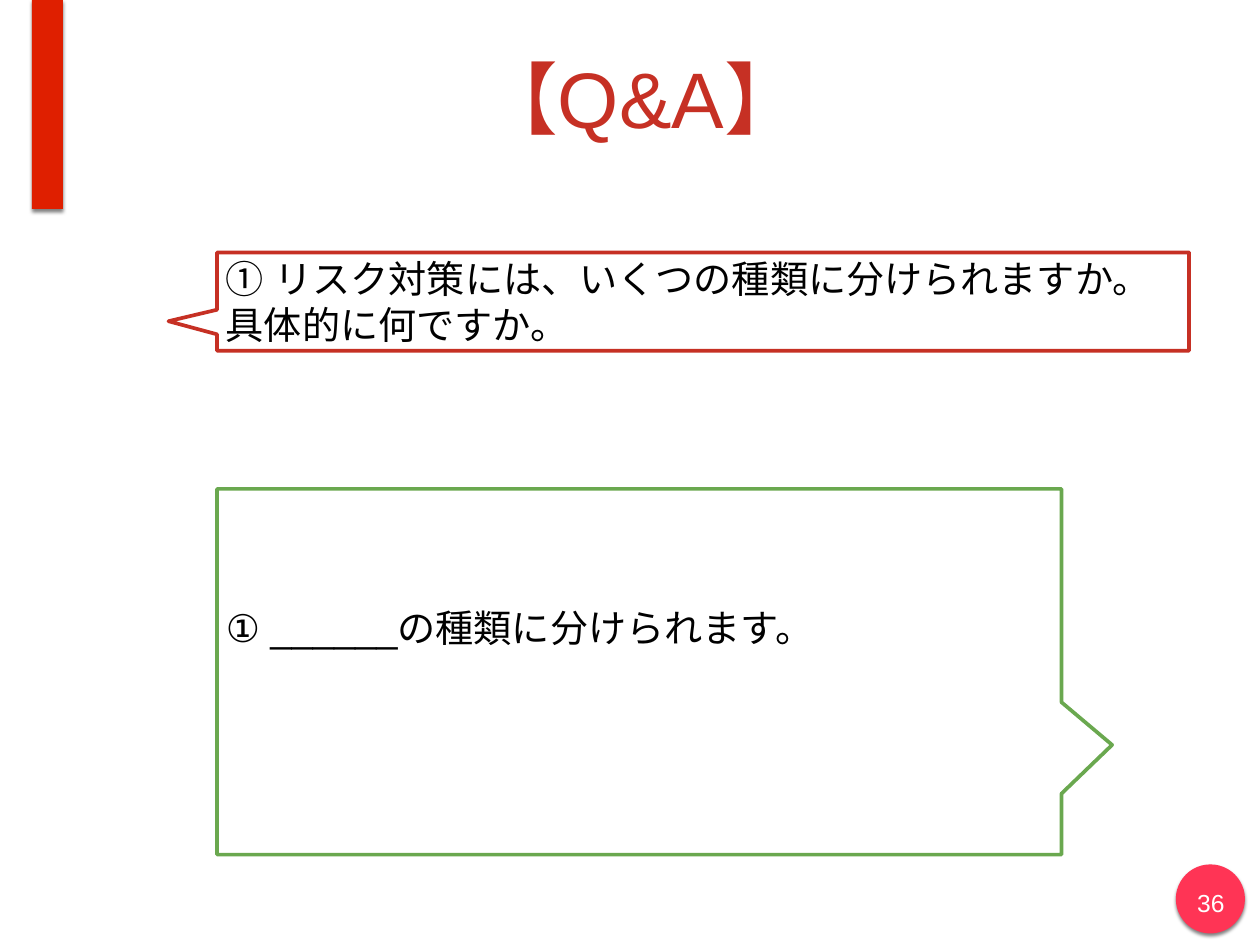
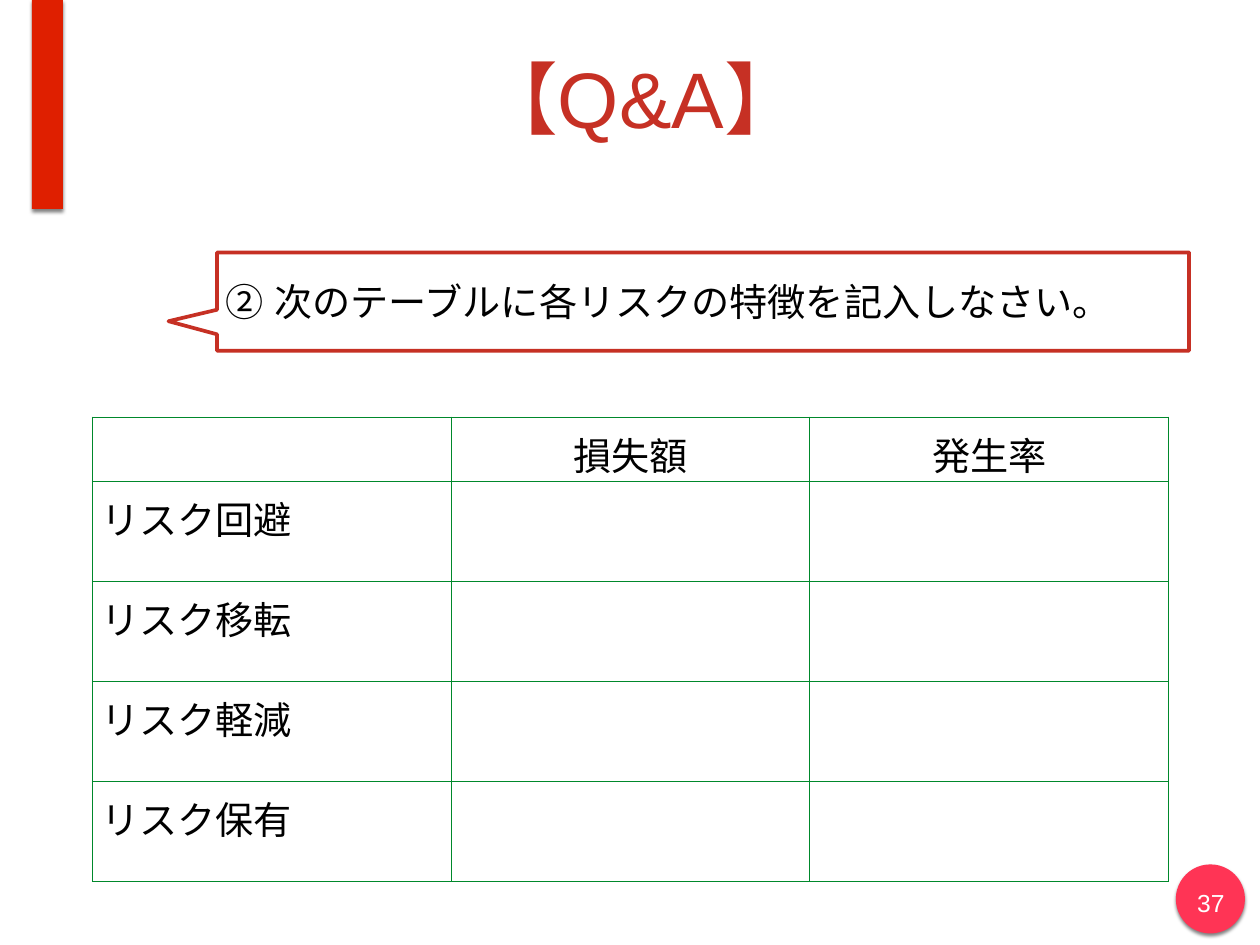
"""Build two Q&A slides on risk measures."""
from dataclasses import dataclass

from lxml.etree import SubElement as Sub
from pptx import Presentation
from pptx.dml.color import RGBColor as Rgb
from pptx.enum.shapes import MSO_SHAPE as Shape
from pptx.enum.text import MSO_ANCHOR as Anchor, MSO_AUTO_SIZE as Fit, PP_ALIGN as Align
from pptx.oxml.ns import qn
from pptx.util import Pt

UNIT = 9144


@dataclass(frozen=True)
class Theme:
    """Hold colours, type sizes and the font."""
    font: str = "Arial"
    red: str = "C63024"
    green: str = "6AA84F"
    grid: str = "00882B"
    band: str = "DF1F00"
    disc: str = "FF3455"
    ink: str = "000000"
    white: str = "FFFFFF"
    head: int = 64
    body: int = 31
    page: int = 20


LOOK = Theme()


def px(*nums):
    """Turn px into EMU."""
    return [num * UNIT for num in nums]


def place(shape, *box):
    """Move and size a shape."""
    shape.left, shape.top, shape.width, shape.height = px(*box)


def write(frame, text, size, color, align=Align.LEFT):
    """Set text, then format its runs."""
    frame.text = text
    for para in frame.paragraphs:
        para.alignment = align
        for run in para.runs:
            font = run.font
            font.name, font.size = LOOK.font, Pt(size)
            font.color.rgb = Rgb.from_string(color)
            east = Sub(run._r.get_or_add_rPr(), qn("a:ea"))
            east.set("typeface", LOOK.font)


def inset(frame, side, top, base):
    """Set the margins at the sides, top and base."""
    frame.margin_left = frame.margin_right = side * UNIT
    frame.margin_top, frame.margin_bottom = px(top, base)


def accent(slide, kind, box, color):
    """Add a filled shape with a shadow."""
    shape = slide.shapes.add_shape(kind, *px(*box))
    shape.fill.solid()
    shape.fill.fore_color.rgb = Rgb.from_string(color)
    shape.line.fill.background()
    group = Sub(shape.element.spPr, qn("a:effectLst"))
    cast = Sub(group, qn("a:outerShdw"), blurRad="38100", dist="25400",
               dir="5400000", rotWithShape="0")
    tint = Sub(cast, qn("a:srgbClr"), val=LOOK.ink)
    Sub(tint, qn("a:alpha"), val="49000")
    return shape


def dress(layout, slide):
    """Give the layout its disc and band, drawn on a slide and moved over."""
    for kind, box, color in (
        (Shape.OVAL, (1327, 976, 78, 78), LOOK.disc),
        (Shape.RECTANGLE, (36, 0, 35, 236), LOOK.band),
    ):
        shape = accent(slide, kind, box, color)
        layout.shapes.element.append(shape.element)


def page(deck, layout, num):
    """Add a slide with its title and number."""
    slide = deck.slides.add_slide(layout)
    frame = slide.shapes.title.text_frame
    write(frame, "【Q&A】", LOOK.head, LOOK.red, Align.CENTER)
    frame.vertical_anchor = Anchor.MIDDLE
    frame.auto_size = Fit.NONE
    inset(frame, 6, 6, 6)
    frame = slide.shapes.add_textbox(*px(1342, 997, 49, 45)).text_frame
    frame.word_wrap = True
    inset(frame, 6, 6, 6)
    write(frame, str(num), LOOK.page, LOOK.white, Align.CENTER)
    return slide


def bubble(slide, box, tip, color, text, base=10):
    """Add an outlined callout."""
    shape = slide.shapes.add_shape(Shape.RECTANGULAR_CALLOUT, *px(*box))
    shape.adjustments[0], shape.adjustments[1] = tip
    shape.shadow.inherit = False
    shape.fill.background()
    shape.line.color.rgb = Rgb.from_string(color)
    shape.line.width = Pt(3)
    frame = shape.text_frame
    frame.word_wrap = True
    frame.vertical_anchor = Anchor.MIDDLE
    inset(frame, 10, 10, base)
    write(frame, text, LOOK.body, LOOK.ink)


def ask(slide, text):
    """Add the question callout."""
    bubble(slide, (245, 285, 1097, 111), (-0.55, 0.2), LOOK.red, text)


def border(cell):
    """Draw all four edges of a cell."""
    props = cell._tc.get_or_add_tcPr()
    for side in "LRTB":
        line = Sub(props, qn(f"a:ln{side}"), w=str(Pt(0.75)))
        Sub(Sub(line, qn("a:solidFill")), qn("a:srgbClr"), val=LOOK.grid)


def grid(slide, heads, names):
    """Add a table to be filled in."""
    rows, cols = len(names) + 1, len(heads) + 1
    frame = slide.shapes.add_table(rows, cols, *px(104, 471, 1215, 524))
    table = frame.table
    table.first_row = table.horz_banding = False
    for col in table.columns:
        col.width = 405 * UNIT
    for i, row in enumerate(table.rows):
        row.height = (113 if i else 72) * UNIT
    for cell in table.iter_cells():
        border(cell)
        cell.fill.background()
        inset(cell, 10, 21, 0)
    for i, text in enumerate(heads, 1):
        write(table.cell(0, i).text_frame, text, LOOK.body, LOOK.ink, Align.CENTER)
    for i, text in enumerate(names, 1):
        write(table.cell(i, 0).text_frame, text, LOOK.body, LOOK.ink)


def main():
    """Build and save the deck."""
    deck = Presentation()
    deck.slide_width, deck.slide_height = px(1422, 1067)
    layout = deck.slide_layouts[5]
    place(layout.placeholders[0], 35, 0, 1377, 220)

    first = page(deck, layout, 36)
    dress(layout, first)
    ask(first, "① リスク対策には、いくつの種類に分けられますか。\v具体的に何ですか。")
    bubble(first, (245, 552, 953, 413), (0.56, 0.2), LOOK.green,
           "① ______の種類に分けられます。", 110)

    second = page(deck, layout, 37)
    ask(second, "② 次のテーブルに各リスクの特徴を記入しなさい。")
    grid(second, ("損失額", "発生率"),
         ("リスク回避", "リスク移転", "リスク軽減", "リスク保有"))
    deck.save("out.pptx")


if __name__ == "__main__":
    main()
